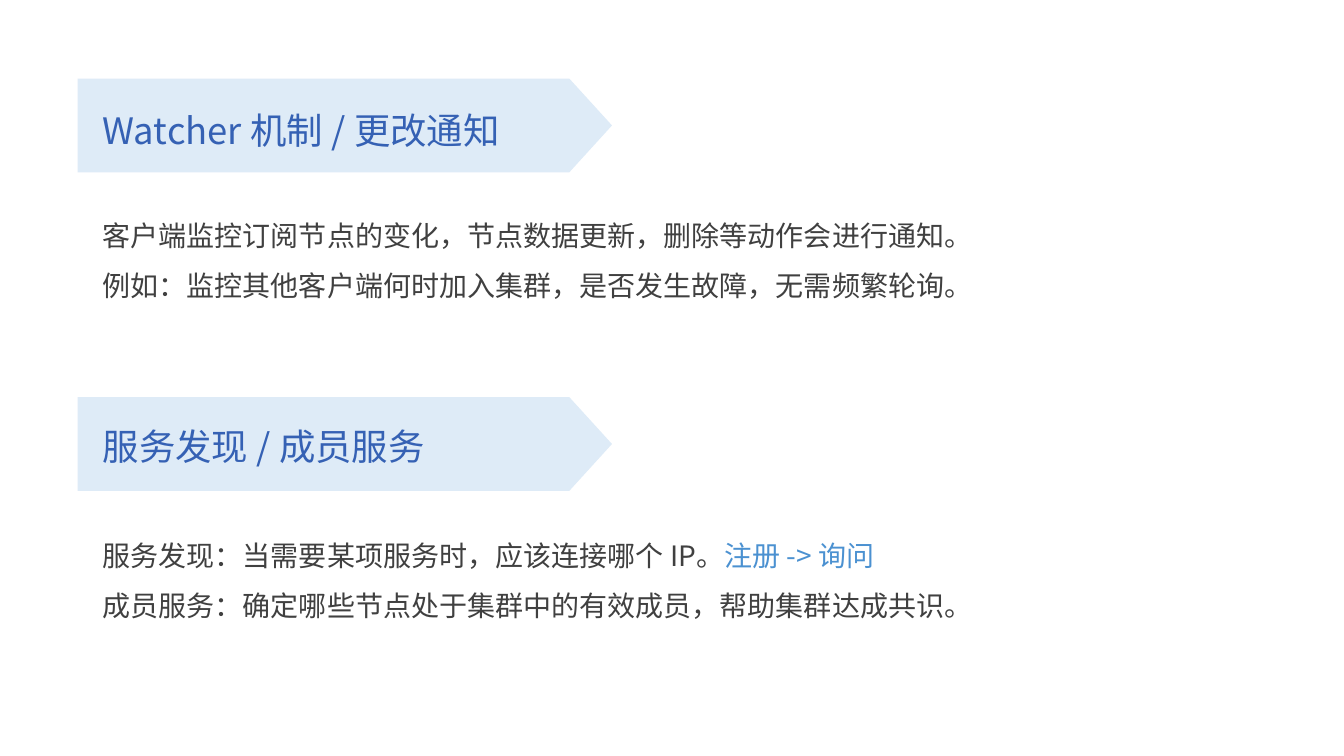
from pptx import Presentation
from pptx.dml.color import RGBColor
from pptx.enum.shapes import MSO_SHAPE
from pptx.enum.text import MSO_AUTO_SIZE
from pptx.oxml.ns import qn
from pptx.util import Pt

PENTAGON = MSO_SHAPE.PENTAGON
FIT_SHAPE = MSO_AUTO_SIZE.SHAPE_TO_FIT_TEXT
EMU_PER_PX = 9144
BLANK_LAYOUT = 6
FONT = "Noto Sans CJK SC"
COLORS = {"band": "DEEBF7", "heading": "3561B4", "body": "404040", "accent": "4B91D1"}

SECTIONS = [
    {
        "box": (77, 78, 1172, 228),
        "heading": "Watcher 机制 / 更改通知",
        "heading_box": (24, 537),
        "body_box": (117, 111),
        "spacings": (1.5, 1.5),
        "lines": [
            [("客户端监控订阅节点的变化，节点数据更新，删除等动作会进行通知。", "body")],
            [("例如：监控其他客户端何时加入集群，是否发生故障，无需频繁轮询。", "body")],
        ],
    },
    {
        "box": (77, 394, 1172, 229),
        "heading": "服务发现 / 成员服务",
        "heading_box": (22, 364),
        "body_box": (135, 94),
        "spacings": (1.0, 1.5),
        "lines": [
            [("服务发现：当需要某项服务时，应该连接哪个 IP。", "body"), ("注册 -> 询问", "accent")],
            [("成员服务：确定哪些节点处于集群中的有效成员，帮助集群达成共识。", "body")],
        ],
    },
]


def px(*lengths):
    """Turn pixel lengths into EMU."""
    return [length * EMU_PER_PX for length in lengths]


def color(name):
    """Look up a named colour."""
    return RGBColor.from_string(COLORS[name])


def add_band(slide, left, top):
    """Draw the arrow-shaped band behind a heading."""
    band = slide.shapes.add_shape(PENTAGON, *px(left, top, 530, 93))
    band.adjustments[0] = 0.455
    band.shadow.inherit = False
    band.fill.solid()
    band.fill.fore_color.rgb = color("band")
    band.line.fill.background()


def add_text(slide, box, lines, size, spacings):
    """Write lines of coloured runs into a text box."""
    frame = slide.shapes.add_textbox(*px(*box)).text_frame
    frame.word_wrap = True
    frame.auto_size = FIT_SHAPE
    for index, (line, spacing) in enumerate(zip(lines, spacings)):
        paragraph = frame.add_paragraph() if index else frame.paragraphs[0]
        paragraph.line_spacing = spacing
        paragraph.font.size = Pt(size)
        paragraph.font.name = FONT
        for text, color_name in line:
            run = paragraph.add_run()
            run.text = text
            run.font.size = Pt(size)
            run.font.name = FONT
            run.font.color.rgb = color(color_name)
            east_asian = run.font._element.makeelement(qn("a:ea"), {"typeface": FONT})
            run.font._element.append(east_asian)


def add_section(slide, section):
    """Place a band, its heading and its body text in the section's box."""
    left, top, width, _ = section["box"]
    text_left = left + 15
    heading_offset, heading_width = section["heading_box"]
    body_offset, body_height = section["body_box"]
    add_band(slide, left, top)
    add_text(slide, (text_left, top + heading_offset, heading_width, 54),
             [[(section["heading"], "heading")]], 26, (1.0,))
    add_text(slide, (text_left, top + body_offset, width - 15, body_height),
             section["lines"], 20, section["spacings"])


def main():
    """Build and save the slide."""
    presentation = Presentation()
    presentation.slide_width, presentation.slide_height = px(1333, 750)
    slide = presentation.slides.add_slide(presentation.slide_layouts[BLANK_LAYOUT])
    for section in SECTIONS:
        add_section(slide, section)
    presentation.save("out.pptx")


if __name__ == "__main__":
    main()
